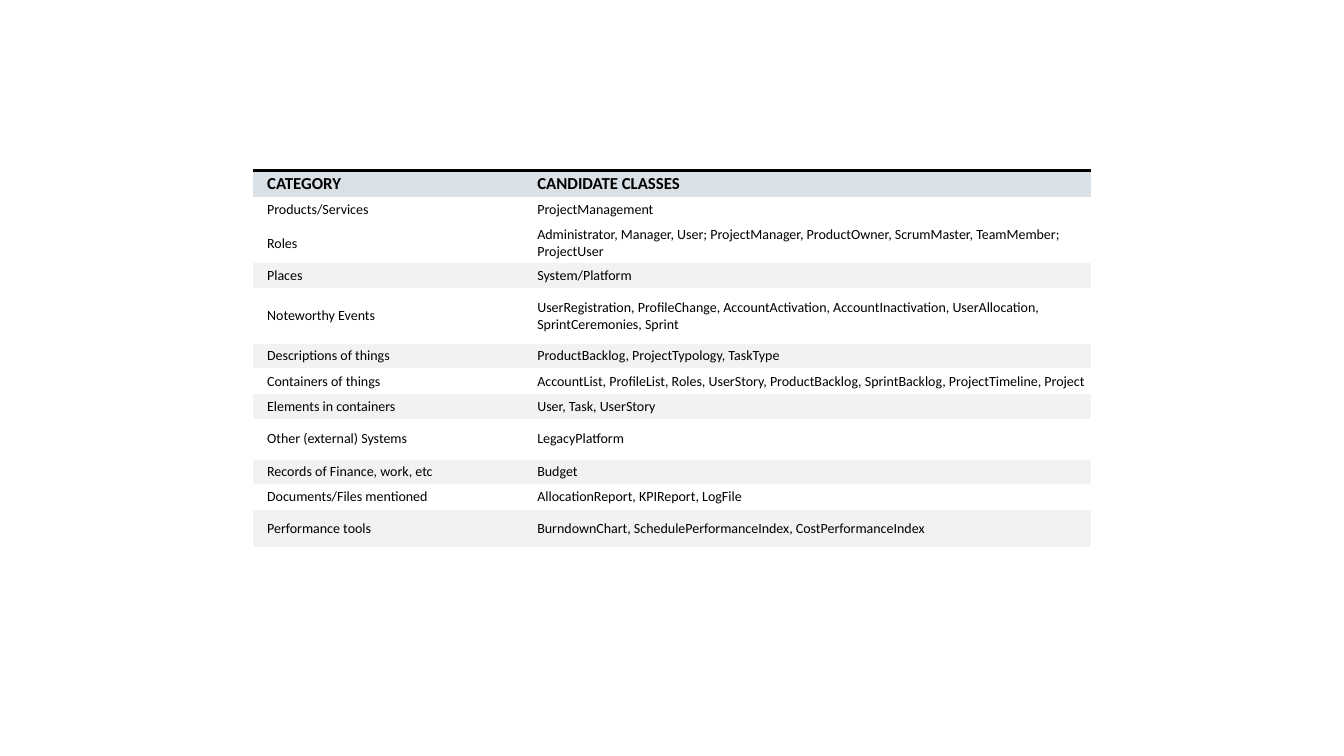
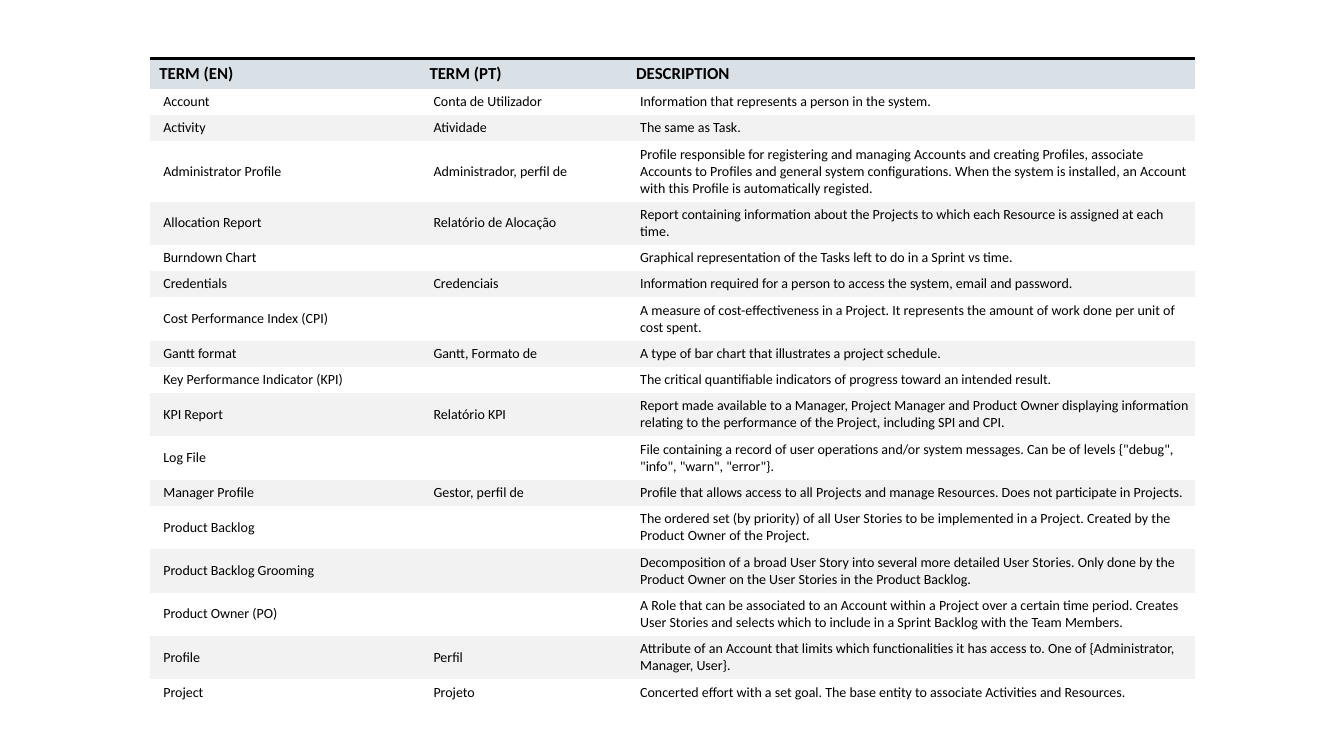
from dataclasses import dataclass

from lxml import etree
from pptx import Presentation
from pptx.dml.color import RGBColor
from pptx.enum.text import MSO_ANCHOR
from pptx.oxml.ns import qn
from pptx.util import Inches, Pt

MIDDLE = MSO_ANCHOR.MIDDLE
BLANK_LAYOUT = 6
NO_STYLE_NO_GRID = "{2D5ABB26-0587-4C30-8999-92F81FD0307C}"


@dataclass(frozen=True)
class Theme:
    font: str = "Calibri"
    text: str = "000000"
    header_fill: str = "D9E0E6"
    band_fill: str = "F2F2F2"
    header_size: float = 12
    body_size: float = 10
    rule_width: float = 2.25


@dataclass(frozen=True)
class Row:
    height: float
    cells: tuple[str, ...]


@dataclass(frozen=True)
class Glossary:
    left: float
    top: float
    columns: tuple[float, ...]
    side_margin: float
    end_margin: float
    header_indent: float
    body_indent: float
    first_band: int  # first shaded row; every second row follows
    rows: tuple[Row, ...]


THEME = Theme()

# Row heights of the terms table, by lines of description
ONE_LINE, TWO_LINES, THREE_LINES = 0.26, 0.43, 0.6

# Candidate classes
CLASSES = Glossary(
    left=2.51, top=1.69, columns=(2.68, 5.63), side_margin=0.06, end_margin=0.03,
    header_indent=0.08, body_indent=0.08, first_band=3,
    rows=(
        Row(0.26, ("CATEGORY", "CANDIDATE CLASSES")),
        Row(0.26, ("Products/Services", "ProjectManagement")),
        Row(0.4, ("Roles",
                  "Administrator, Manager, User; ProjectManager, ProductOwner, "
                  "ScrumMaster, TeamMember; ProjectUser")),
        Row(0.24, ("Places", "System/Platform")),
        Row(0.56, ("Noteworthy Events",
                   "UserRegistration, ProfileChange, AccountActivation, "
                   "AccountInactivation, UserAllocation, SprintCeremonies, Sprint")),
        Row(0.24, ("Descriptions of things", "ProductBacklog, ProjectTypology, TaskType")),
        Row(0.26, ("Containers of things",
                   "AccountList, ProfileList, Roles, UserStory, ProductBacklog, "
                   "SprintBacklog, ProjectTimeline, Project")),
        Row(0.24, ("Elements in containers", "User, Task, UserStory")),
        Row(0.41, ("Other (external) Systems", "LegacyPlatform")),
        Row(0.24, ("Records of Finance, work, etc", "Budget")),
        Row(0.26, ("Documents/Files mentioned", "AllocationReport, KPIReport, LogFile")),
        Row(0.37, ("Performance tools",
                   "BurndownChart, SchedulePerformanceIndex, CostPerformanceIndex")),
    ),
)

# Terms in English and Portuguese
TERMS = Glossary(
    left=1.49, top=0.58, columns=(2.68, 2.05, 5.63), side_margin=0.01, end_margin=0.04,
    header_indent=0.08, body_indent=0.12, first_band=2,
    rows=(
        Row(0.3, ("TERM (EN)", "TERM (PT)", "DESCRIPTION")),
        Row(ONE_LINE, ("Account", "Conta de Utilizador",
                       "Information that represents a person in the system.")),
        Row(ONE_LINE, ("Activity", "Atividade", "The same as Task.")),
        Row(THREE_LINES, ("Administrator Profile", "Administrador, perfil de",
                          "Profile responsible for registering and managing Accounts and "
                          "creating Profiles, associate Accounts to Profiles and general "
                          "system configurations. When the system is installed, an Account "
                          "with this Profile is automatically registed.")),
        Row(TWO_LINES, ("Allocation Report", "Relatório de Alocação",
                        "Report containing information about the Projects to which each "
                        "Resource is assigned at each time.")),
        Row(ONE_LINE, ("Burndown Chart", "",
                       "Graphical representation of the Tasks left to do in a Sprint vs time.")),
        Row(ONE_LINE, ("Credentials", "Credenciais",
                       "Information required for a person to access the system, "
                       "email and password.")),
        Row(TWO_LINES, ("Cost Performance Index (CPI)", "",
                        "A measure of cost-effectiveness in a Project. It represents the "
                        "amount of work done per unit of cost spent.")),
        Row(ONE_LINE, ("Gantt format", "Gantt, Formato de",
                       "A type of bar chart that illustrates a project schedule.")),
        Row(ONE_LINE, ("Key Performance Indicator (KPI)", "",
                       "The critical quantifiable indicators of progress toward an "
                       "intended result.")),
        Row(TWO_LINES, ("KPI Report", "Relatório KPI",
                        "Report made available to a Manager, Project Manager and Product "
                        "Owner displaying information relating to the performance of the "
                        "Project, including SPI and CPI.")),
        Row(TWO_LINES, ("Log File", "",
                        "File containing a record of user operations and/or system messages. "
                        'Can be of levels {"debug", "info", "warn", "error"}.')),
        Row(ONE_LINE, ("Manager Profile", "Gestor, perfil de",
                       "Profile that allows access to all Projects and manage Resources. "
                       "Does not participate in Projects.")),
        Row(TWO_LINES, ("Product Backlog", "",
                        "The ordered set (by priority) of all User Stories to be implemented "
                        "in a Project. Created by the Product Owner of the Project.")),
        Row(TWO_LINES, ("Product Backlog Grooming", "",
                        "Decomposition of a broad User Story into several more detailed User "
                        "Stories. Only done by the Product Owner on the User Stories in the "
                        "Product Backlog.")),
        Row(TWO_LINES, ("Product Owner (PO)", "",
                        "A Role that can be associated to an Account within a Project over a "
                        "certain time period. Creates User Stories and selects which to "
                        "include in a Sprint Backlog with the Team Members.")),
        Row(TWO_LINES, ("Profile", "Perfil",
                        "Attribute of an Account that limits which functionalities it has "
                        "access to. One of {Administrator, Manager, User}.")),
        Row(ONE_LINE, ("Project", "Projeto",
                       "Concerted effort with a set goal. The base entity to associate "
                       "Activities and Resources.")),
    ),
)


def fill_cell(cell, color: str | None) -> None:
    if color is None:
        cell.fill.background()
    else:
        cell.fill.solid()
        cell.fill.fore_color.rgb = RGBColor.from_string(color)


def add_top_rule(cell) -> None:
    rule = etree.Element(qn("a:lnT"), w=str(Pt(THEME.rule_width)))
    solid = etree.SubElement(rule, qn("a:solidFill"))
    etree.SubElement(solid, qn("a:srgbClr"), val=THEME.text)
    # Borders come before the fill in the cell properties
    cell._tc.get_or_add_tcPr().insert(0, rule)


def write_cell(cell, text: str, size: float, bold: bool, indent: float) -> None:
    paragraph = cell.text_frame.paragraphs[0]
    properties = paragraph._p.get_or_add_pPr()
    properties.set("marL", str(Inches(indent)))
    properties.set("indent", "0")
    if not text:
        # An empty cell keeps the body size, so its row does not grow
        etree.SubElement(paragraph._p, qn("a:endParaRPr"), sz=str(Pt(size).centipoints))
        return
    run = paragraph.add_run()
    run.text = text
    for attribute, value in {"name": THEME.font, "size": Pt(size), "bold": bold}.items():
        setattr(run.font, attribute, value)
    run.font.color.rgb = RGBColor.from_string(THEME.text)


def draw_glossary(slide, glossary: Glossary) -> None:
    frame = slide.shapes.add_table(
        len(glossary.rows), len(glossary.columns),
        Inches(glossary.left), Inches(glossary.top),
        Inches(sum(glossary.columns)), Inches(sum(row.height for row in glossary.rows)))
    table = frame.table
    table.horz_banding = False
    table._tbl.tblPr.find(qn("a:tableStyleId")).text = NO_STYLE_NO_GRID
    for column, width in zip(table.columns, glossary.columns):
        column.width = Inches(width)

    side, end = Inches(glossary.side_margin), Inches(glossary.end_margin)
    cell_format = {"margin_left": side, "margin_right": side, "margin_top": end,
                   "margin_bottom": end, "vertical_anchor": MIDDLE}
    shaded_rows = range(glossary.first_band, len(glossary.rows), 2)

    for index, row in enumerate(glossary.rows):
        table.rows[index].height = Inches(row.height)
        is_header = index == 0
        if is_header:
            color, size, indent = THEME.header_fill, THEME.header_size, glossary.header_indent
        else:
            color = THEME.band_fill if index in shaded_rows else None
            size, indent = THEME.body_size, glossary.body_indent
        for cell, text in zip(table.rows[index].cells, row.cells):
            for attribute, value in cell_format.items():
                setattr(cell, attribute, value)
            fill_cell(cell, color)
            write_cell(cell, text, size, is_header, indent)
            if is_header:
                add_top_rule(cell)


def main() -> None:
    deck = Presentation()
    deck.slide_width, deck.slide_height = Inches(13.33), Inches(7.5)
    for glossary in (CLASSES, TERMS):
        draw_glossary(deck.slides.add_slide(deck.slide_layouts[BLANK_LAYOUT]), glossary)
    deck.save("out.pptx")


if __name__ == "__main__":
    main()
